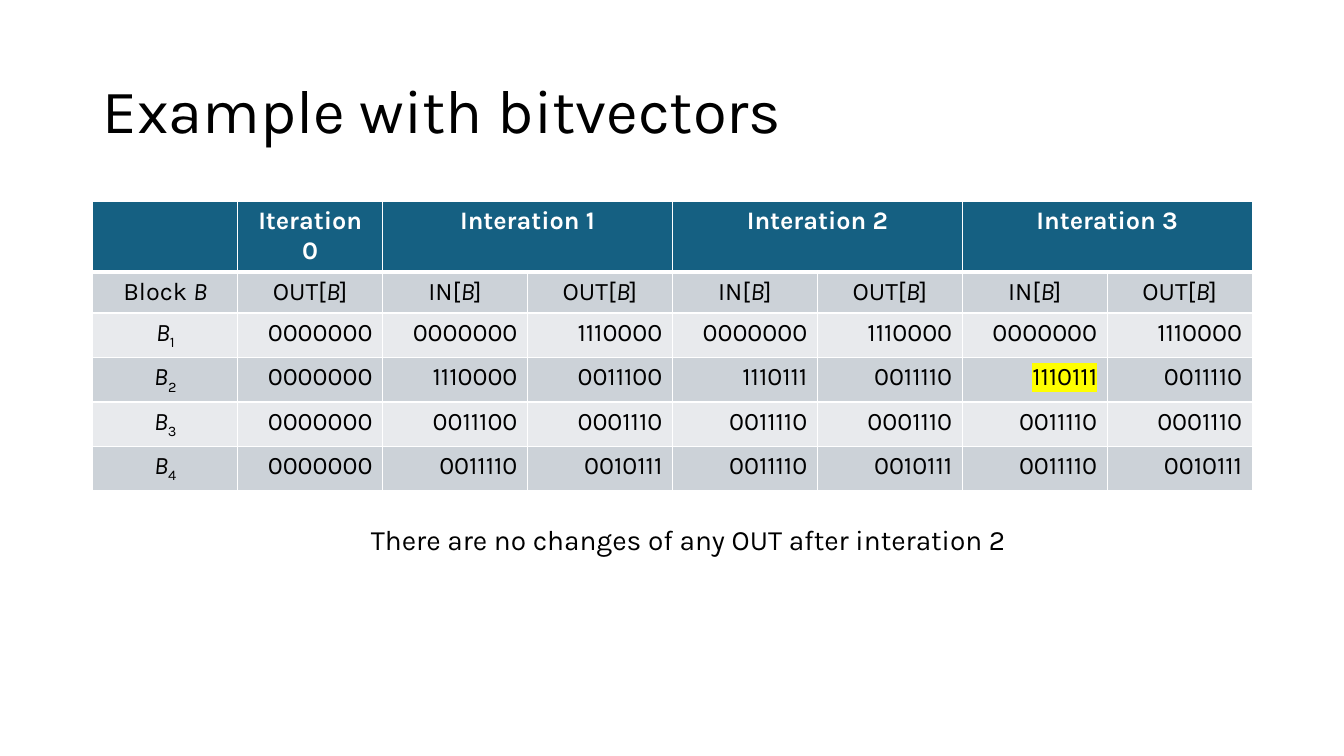
from lxml import etree
from pptx import Presentation
from pptx.dml.color import RGBColor
from pptx.enum.text import MSO_ANCHOR, PP_ALIGN
from pptx.oxml.ns import qn
from pptx.util import Inches, Pt

LEFT, CENTER, RIGHT = PP_ALIGN.LEFT, PP_ALIGN.CENTER, PP_ALIGN.RIGHT
TOP, MIDDLE = MSO_ANCHOR.TOP, MSO_ANCHOR.MIDDLE
FONT = "Karla"
BLACK, WHITE, YELLOW = "000000", "FFFFFF", "FFFF00"
HEADER_FILL, BAND_FILLS = "156082", ("CCD2D8", "E8EAED")
HEADINGS = {1: "Iteration 0", 2: "Interation 1", 4: "Interation 2", 6: "Interation 3"}
BITVECTORS = [
    "0000000 0000000 1110000 0000000 1110000 0000000 1110000",
    "0000000 1110000 0011100 1110111 0011110 1110111 0011110",
    "0000000 0011100 0001110 0011110 0001110 0011110 0001110",
    "0000000 0011110 0010111 0011110 0010111 0011110 0010111",
]
HIGHLIGHTED = (2, 6)


def rgb(value):
    """Turn a hex string into a colour."""
    return RGBColor.from_string(value)


def write_text(paragraph, text, size=18, color=BLACK, bold=False, italic=False,
               baseline=0, highlight=None, align=LEFT):
    """Add one formatted run to a paragraph."""
    paragraph.alignment = align
    run = paragraph.add_run()
    run.text = text
    font = run.font
    font.size, font.bold, font.italic = Pt(size), bold, italic
    font.color.rgb = rgb(color)
    properties = run._r.get_or_add_rPr()
    if baseline:
        properties.set("baseline", str(baseline * 1000))
    if highlight:
        element = etree.SubElement(properties, qn("a:highlight"))
        etree.SubElement(element, qn("a:srgbClr"), val=highlight)
    font.name = FONT


def add_text_box(slide, box, text, size, anchor=TOP, line_spacing=None):
    """Place a line of text in a box."""
    frame = slide.shapes.add_textbox(*map(Inches, box)).text_frame
    frame.word_wrap = True
    frame.vertical_anchor = anchor
    frame.paragraphs[0].line_spacing = line_spacing
    write_text(frame.paragraphs[0], text, size=size)


def style_cell(cell, row):
    """Give a cell white borders and the fill of its row."""
    properties = cell._tc.get_or_add_tcPr()
    widths = {"L": 1, "R": 1, "T": 3 if row == 1 else 1, "B": 3 if row == 0 else 1}
    for side, width in widths.items():
        line = etree.SubElement(properties, qn(f"a:ln{side}"), w=str(Pt(width)))
        fill = etree.SubElement(line, qn("a:solidFill"))
        etree.SubElement(fill, qn("a:srgbClr"), val=WHITE)
    cell.fill.solid()
    cell.fill.fore_color.rgb = rgb(HEADER_FILL if row == 0 else BAND_FILLS[(row - 1) % 2])


def fill_headings(table):
    """Write the iteration row and the IN and OUT row."""
    for column, heading in HEADINGS.items():
        if column > 1:
            table.cell(0, column).merge(table.cell(0, column + 1))
        write_text(table.cell(0, column).text_frame.paragraphs[0], heading,
                   color=WHITE, bold=True, align=CENTER)
    for column in range(8):
        paragraph = table.cell(1, column).text_frame.paragraphs[0]
        prefix = "Block " if column == 0 else "OUT[" if column % 2 else "IN["
        write_text(paragraph, prefix, align=CENTER)
        write_text(paragraph, "B", italic=True, align=CENTER)
        if column:
            write_text(paragraph, "]", align=CENTER)


def fill_blocks(table):
    """Write one row of bitvectors for each block."""
    for block, vectors in enumerate(BITVECTORS, start=1):
        name = table.cell(block + 1, 0).text_frame.paragraphs[0]
        write_text(name, "B", italic=True, align=CENTER)
        write_text(name, str(block), baseline=-25, align=CENTER)
        for column, vector in enumerate(vectors.split(), start=1):
            highlight = YELLOW if (block, column) == HIGHLIGHTED else None
            write_text(table.cell(block + 1, column).text_frame.paragraphs[0], vector,
                       highlight=highlight, align=RIGHT)


def add_bitvector_table(slide, box):
    """Place the table of iterations in a box."""
    left, top, width, height = map(Inches, box)
    table = slide.shapes.add_table(6, 8, left, top, width, height).table
    for row in range(6):
        for column in range(8):
            style_cell(table.cell(row, column), row)
    fill_headings(table)
    fill_blocks(table)


def main():
    """Build the slide and save it."""
    presentation = Presentation()
    presentation.slide_width, presentation.slide_height = Inches(13.33), Inches(7.5)
    slide = presentation.slides.add_slide(presentation.slide_layouts[6])
    add_text_box(slide, (0.92, 0.4, 11.5, 1.45), "Example with bitvectors", 44,
                 anchor=MIDDLE, line_spacing=0.9)
    add_bitvector_table(slide, (0.92, 2, 11.5, 2.43))
    add_text_box(slide, (3.58, 5.13, 6.88, 0.44),
                 "There are no changes of any OUT after interation 2", 20)
    presentation.save("out.pptx")


if __name__ == "__main__":
    main()
